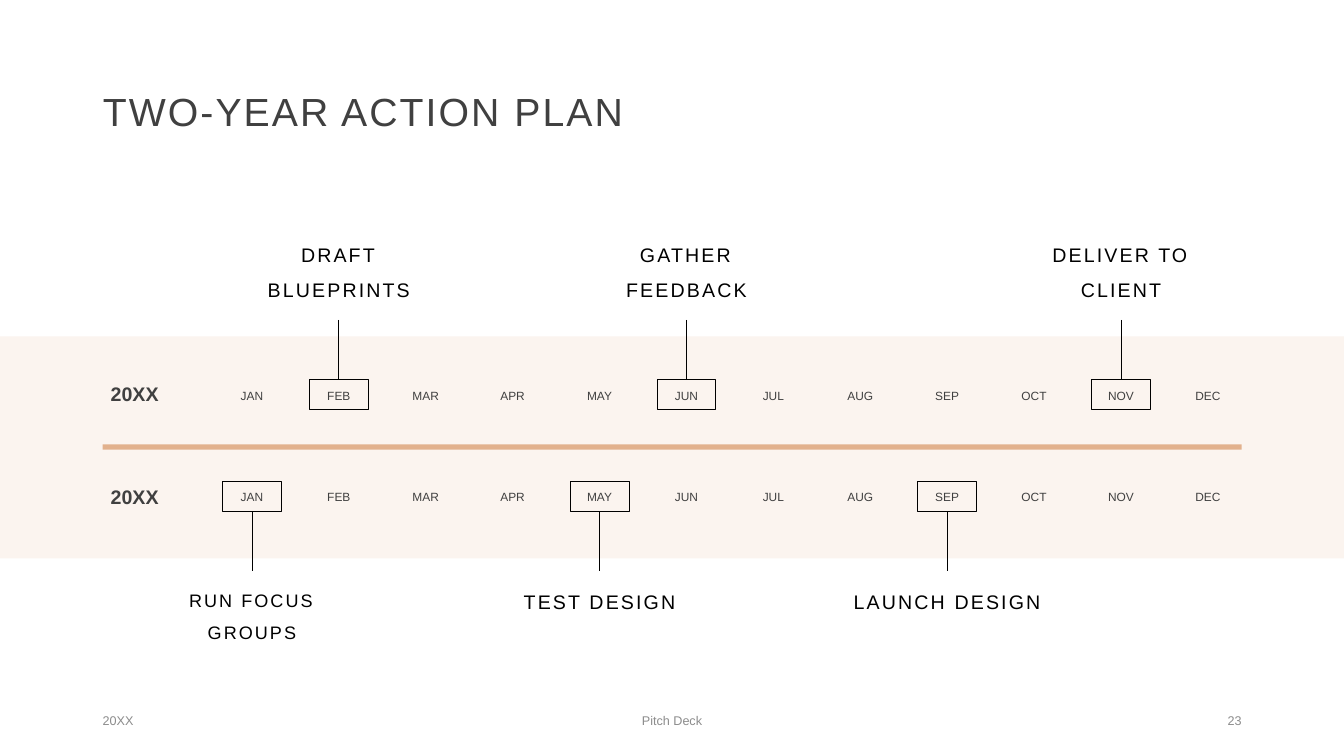
from lxml import etree
from pptx import Presentation
from pptx.dml.color import RGBColor
from pptx.enum.shapes import MSO_CONNECTOR, MSO_SHAPE
from pptx.enum.text import MSO_ANCHOR, PP_ALIGN
from pptx.oxml.ns import qn
from pptx.util import Cm, Pt

RECT, STRAIGHT = MSO_SHAPE.RECTANGLE, MSO_CONNECTOR.STRAIGHT
LEFT, CENTER, RIGHT = PP_ALIGN.LEFT, PP_ALIGN.CENTER, PP_ALIGN.RIGHT
TOP, MIDDLE, BOTTOM = MSO_ANCHOR.TOP, MSO_ANCHOR.MIDDLE, MSO_ANCHOR.BOTTOM

FONT = "Arial"
COLORS = {
    "band": "FBF4EF",
    "divider": "E2B18D",
    "text": "404040",
    "black": "000000",
    "footer": "8C8C8C",
}
MONTHS = ["JAN", "FEB", "MAR", "APR", "MAY", "JUN",
          "JUL", "AUG", "SEP", "OCT", "NOV", "DEC"]

# Timeline grid, in cm
FIRST_MONTH, MONTH_STEP = 6.35, 2.19
MARK_W, MARK_H = 1.48, 0.77
STEM = 1.49
CALLOUT_W, CALLOUT_H = 5.72, 1.55

# Each year: top of label, months, marks and callouts, then milestones
YEARS = [
    {"label": 9.32, "months": 9.73, "mark": 9.55, "callout": 6.17, "above": True,
     "milestones": [("FEB", "DRAFT BLUEPRINTS", 14),
                    ("JUN", "GATHER FEEDBACK", 14),
                    ("NOV", "DELIVER TO CLIENT", 14)]},
    {"label": 11.91, "months": 12.29, "mark": 12.12, "callout": 14.45, "above": False,
     "milestones": [("JAN", "RUN FOCUS GROUPS", 12.9),
                    ("MAY", "TEST DESIGN", 14),
                    ("SEP", "LAUNCH DESIGN", 14)]},
]


def color(name):
    return RGBColor.from_string(COLORS[name])


def month_center(month):
    return FIRST_MONTH + MONTH_STEP * MONTHS.index(month)


def set_text(sp, text, size, fill, align=LEFT, anchor=MIDDLE,
             line_spacing=1.0, bold=False, tracking=0):
    tf = sp.text_frame
    tf.word_wrap = True
    tf.vertical_anchor = anchor
    p = tf.paragraphs[0]
    r = p.add_run()
    r.text = text
    if tracking:
        r._r.get_or_add_rPr().set("spc", str(tracking))
    p.alignment = align
    p.line_spacing = line_spacing
    p.space_before = Pt(0)
    p.font.name = FONT
    p.font.size = Pt(size)
    p.font.bold = bold
    p.font.color.rgb = color(fill)


def add_text(s, x, y, w, h, text, size, fill, **style):
    sp = s.shapes.add_textbox(Cm(x), Cm(y), Cm(w), Cm(h))
    set_text(sp, text, size, fill, **style)


def add_rect(s, x, y, w, h, fill=None, line=None):
    sp = s.shapes.add_shape(RECT, Cm(x), Cm(y), Cm(w), Cm(h))
    sp.shadow.inherit = False
    if fill:
        sp.fill.solid()
        sp.fill.fore_color.rgb = color(fill)
    else:
        sp.fill.background()
    if line:
        sp.line.color.rgb = color(line)
        sp.line.width = Pt(0.5)
    else:
        sp.line.fill.background()


def add_stem(s, x, y):
    stem = s.shapes.add_connector(STRAIGHT, Cm(x), Cm(y), Cm(x), Cm(y + STEM))
    stem.line.color.rgb = color("black")
    stem.line.width = Pt(0.5)
    etree.SubElement(stem._element.spPr, qn("a:effectLst"))


def add_milestone(s, year, month, text, size):
    x = month_center(month)
    above = year["above"]
    add_text(s, x - CALLOUT_W / 2, year["callout"], CALLOUT_W, CALLOUT_H,
             text, size, "black", align=CENTER, anchor=BOTTOM if above else TOP,
             line_spacing=1.5, tracking=150)
    add_stem(s, x, year["mark"] + (-STEM if above else MARK_H))
    add_rect(s, x - MARK_W / 2, year["mark"], MARK_W, MARK_H, line="black")


def add_year(s, year):
    add_text(s, 2.54, year["label"], 2.03, 1.27, "20XX", 14, "text",
             bold=True, line_spacing=0.9)
    for month in MONTHS:
        add_text(s, month_center(month) - 0.89, year["months"], 1.78, 0.56,
                 month, 8.5, "text", align=CENTER, line_spacing=0.7)
    for milestone in year["milestones"]:
        add_milestone(s, year, *milestone)


def add_title(s, text):
    sp = s.shapes.title
    sp.left, sp.top, sp.width, sp.height = Cm(2.34), Cm(1.02), Cm(29.2), Cm(3.68)
    set_text(sp, text, 28, "text", line_spacing=0.9, tracking=150)


def main():
    prs = Presentation()
    prs.slide_width, prs.slide_height = Cm(33.87), Cm(19.05)
    s = prs.slides.add_slide(prs.slide_layouts[5])

    # Band and divider
    add_rect(s, 0, 8.48, 33.87, 5.59, fill="band")
    add_rect(s, 2.59, 11.2, 28.7, 0.13, fill="divider")

    # Title and timeline
    add_title(s, "TWO-YEAR ACTION PLAN")
    for year in YEARS:
        add_year(s, year)

    # Footer
    for x, w, text, align in [(2.34, 7.62, "20XX", LEFT),
                              (11.22, 11.43, "Pitch Deck", CENTER),
                              (23.92, 7.62, "23", RIGHT)]:
        add_text(s, x, 17.65, w, 1.02, text, 9, "footer", align=align)

    prs.save("out.pptx")


if __name__ == "__main__":
    main()
